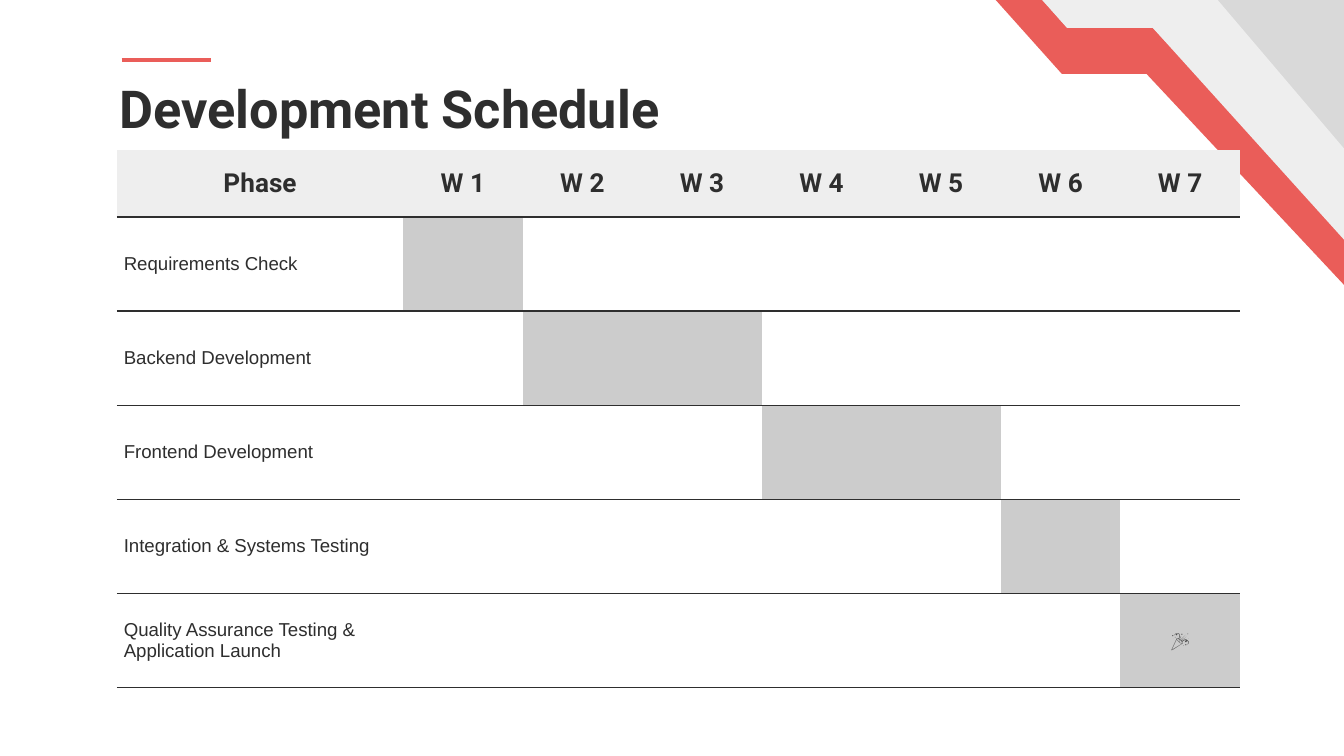
"""Build a development schedule slide with a weekly Gantt table."""
from lxml import etree
from pptx import Presentation
from pptx.dml.color import RGBColor
from pptx.enum.shapes import MSO_CONNECTOR
from pptx.enum.text import MSO_ANCHOR, PP_ALIGN
from pptx.oxml.ns import qn
from pptx.util import Cm, Pt

STRAIGHT = MSO_CONNECTOR.STRAIGHT
MIDDLE = MSO_ANCHOR.MIDDLE
LEFT, CENTER = PP_ALIGN.LEFT, PP_ALIGN.CENTER
RED, DARK, LIGHT, BAR, WHITE = "EA5D59", "2E2E2E", "EEEEEE", "CCCCCC", "FFFFFF"
TITLE_FORMAT = {"name": "Roboto", "size": Pt(28), "bold": True}
HEADER_FORMAT = {"name": "Roboto", "size": Pt(14), "bold": True}
BODY_FORMAT = {"name": "Arial", "size": Pt(10), "bold": False}


def color(value):
    return RGBColor.from_string(value)


def write(text_frame, text, font_format, alignment):
    text_frame.text = text
    paragraph = text_frame.paragraphs[0]
    paragraph.alignment = alignment
    for name, value in font_format.items():
        setattr(paragraph.font, name, value)
    paragraph.font.color.rgb = color(DARK)


presentation = Presentation()
presentation.slide_width, presentation.slide_height = Cm(25.4), Cm(14.29)
slide = presentation.slides.add_slide(presentation.slide_layouts[5])

corner_bands = [
    (RED, [(14.3, -5.05), (20.07, 1.4), (21.67, 1.4), (27.97, 8.13), (28.19, -5.31)]),
    ("D9D9D9", [(14.43, -5.92), (20.17, 0.53), (21.79, 0.53), (28.09, 7.24), (28.32, -6.17)]),
    (LIGHT, [(14.43, -5.92), (20.17, 0.53), (21.79, 0.53), (28.65, 8.13),
             (29.06, 7.11), (22.58, -0.51), (21.21, -0.53), (15.95, -5.92)]),
]
for band_color, corners in corner_bands:
    points = [(Cm(x), Cm(y)) for x, y in corners]
    builder = slide.shapes.build_freeform(*points[0])
    builder.add_line_segments(points[1:], close=True)
    band = builder.convert_to_shape()
    band.shadow.inherit = False
    band.fill.solid()
    band.fill.fore_color.rgb = color(band_color)
    band.line.fill.background()

accent = slide.shapes.add_connector(STRAIGHT, Cm(2.3), Cm(1.13), Cm(3.99), Cm(1.13))
accent.line.color.rgb = color(RED)
accent.line.width = Pt(2.25)
etree.SubElement(accent._element.spPr, qn("a:effectLst"))

title = slide.shapes.title
title.left, title.top, title.width, title.height = Cm(2.01), Cm(1.24), Cm(21.41), Cm(1.6)
title_frame = title.text_frame
title_frame.vertical_anchor = MIDDLE
for side in ("left", "top", "right", "bottom"):
    setattr(title_frame, f"margin_{side}", Cm(0.25))
write(title_frame, "Development Schedule", TITLE_FORMAT, LEFT)

phases = [
    ("Requirements Check", {1}),
    ("Backend Development", {2, 3}),
    ("Frontend Development", {4, 5}),
    ("Integration & Systems Testing", {6}),
    ("Quality Assurance Testing & Application Launch", {7}),
]
week_count = 7
rows = [["Phase"] + [f"W {week}" for week in range(1, week_count + 1)]]
rows += [[phase] + [""] * week_count for phase, weeks in phases]
rows[-1][-1] = "🎉"

column_widths = [Cm(5.41)] + [Cm(2.26)] * week_count
row_heights = [Cm(1.27)] + [Cm(1.78)] * len(phases)
table = slide.shapes.add_table(len(rows), len(column_widths), Cm(2.21), Cm(2.83),
                               sum(column_widths), sum(row_heights)).table
table.first_row = table.horz_banding = False
for column, width in zip(table.columns, column_widths):
    column.width = width
for row, height in zip(table.rows, row_heights):
    row.height = height

for row_index, texts in enumerate(rows):
    is_header = row_index == 0
    for column_index, text in enumerate(texts):
        is_label = column_index == 0
        cell = table.cell(row_index, column_index)
        cell.vertical_anchor = MIDDLE
        cell.margin_left = cell.margin_right = Cm(0.13 if is_label else 0)
        cell.margin_top = cell.margin_bottom = Cm(0.25 if is_header else 0.13)
        write(cell.text_frame, text, HEADER_FORMAT if is_header else BODY_FORMAT,
              LEFT if is_label and not is_header else CENTER)

        properties = cell._tc.get_or_add_tcPr()
        for side in ("L", "R", "T", "B"):
            visible = side == "B" or (side == "T" and not is_header)
            border = etree.SubElement(properties, qn(f"a:ln{side}"), w=str(Pt(0.75)))
            fill = etree.SubElement(border, qn("a:solidFill" if visible else "a:noFill"))
            if visible:
                etree.SubElement(fill, qn("a:srgbClr"), val=DARK)

        if is_label and not is_header:
            cell.fill.background()
        else:
            in_phase = not is_header and column_index in phases[row_index - 1][1]
            cell.fill.solid()
            cell.fill.fore_color.rgb = color(LIGHT if is_header else BAR if in_phase else WHITE)

presentation.save("out.pptx")
